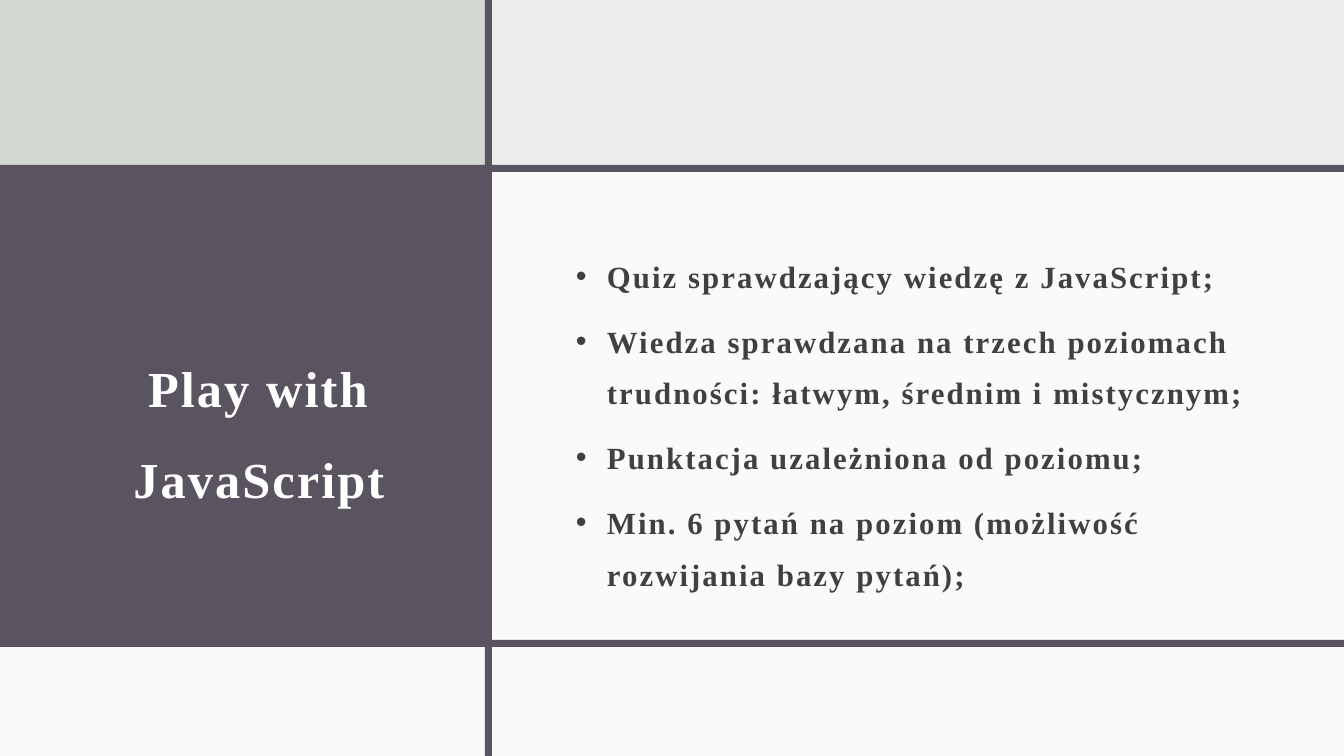
import pptx
import pptx.util
import pptx.dml.color
import pptx.enum.shapes
import pptx.enum.text
import pptx.oxml
import pptx.oxml.ns

EMU_PER_PX = 914400 / 100.8
WIDTH, HEIGHT = 1344, 756
BAR = 7
FONT = "Times New Roman"
COLORS = {"background": "EBEDEB", "plum": "595460", "sage": "D2D7D2",
          "white": "FFFFFF", "text": "404040"}
TITLE = "Play with JavaScript"
FEATURES = [
    "Quiz sprawdzający wiedzę z JavaScript;",
    "Wiedza sprawdzana na trzech poziomach trudności: łatwym, średnim i mistycznym;",
    "Punktacja uzależniona od poziomu;",
    "Min. 6 pytań na poziom (możliwość rozwijania bazy pytań);",
]


def px(length):
    return pptx.util.Emu(round(length * EMU_PER_PX))


def color(name):
    return pptx.dml.color.RGBColor.from_string(COLORS[name])


def add_panel(slide, box, fill, opacity=100):
    shape = slide.shapes.add_shape(
        pptx.enum.shapes.MSO_SHAPE.RECTANGLE, *map(px, box))
    shape.shadow.inherit = False
    shape.fill.solid()
    shape.fill.fore_color.rgb = color(fill)
    shape.line.fill.background()
    if opacity < 100:
        tint = shape.fill._xPr.find(".//" + pptx.oxml.ns.qn("a:srgbClr"))
        alpha = pptx.oxml.parse_xml(
            f'<a:alpha {pptx.oxml.ns.nsdecls("a")} val="{opacity * 1000}"/>')
        tint.append(alpha)


def add_text_frame(slide, box):
    frame = slide.shapes.add_textbox(*map(px, box)).text_frame
    frame.word_wrap = True
    frame.vertical_anchor = pptx.enum.text.MSO_ANCHOR.MIDDLE
    frame.margin_left = frame.margin_right = frame.margin_top = px(12)
    frame.margin_bottom = px(10)
    return frame


def add_run(paragraph, text, size, fill):
    run = paragraph.add_run()
    run.text = text
    run.font.name = FONT
    run.font.size = pptx.util.Pt(size)
    run.font.bold = True
    run.font.color.rgb = color(fill)
    run.font._element.set("spc", "150")


def add_bullet(paragraph):
    properties = paragraph._p.get_or_add_pPr()
    properties.set("marL", str(px(31)))
    properties.set("indent", str(px(-31)))
    namespace = pptx.oxml.ns.nsdecls("a")
    properties.append(pptx.oxml.parse_xml(
        f'<a:buFont {namespace} typeface="Arial"/>'))
    properties.append(pptx.oxml.parse_xml(f'<a:buChar {namespace} char="•"/>'))


def add_grid(slide, box, column, top_row, bottom_row):
    """Coloured cells divided by one vertical and two horizontal bars."""
    left, top, width, height = box
    middle = bottom_row - top_row
    # Cells
    add_panel(slide, (left, top + top_row, column, middle), "plum")
    add_panel(slide, (left, top, column, top_row), "sage")
    add_panel(slide, (left + column, top + top_row, width - column, middle),
              "white", 75)
    add_panel(slide, (left, top + bottom_row, width, height - bottom_row),
              "white", 75)
    # Bars
    for row in (top_row, bottom_row - BAR):
        add_panel(slide, (left, top + row, width, BAR), "plum")
    add_panel(slide, (left + column - 3, top, BAR, height), "plum")


def add_title(slide, box):
    paragraph = add_text_frame(slide, box).paragraphs[0]
    paragraph.alignment = pptx.enum.text.PP_ALIGN.CENTER
    paragraph.line_spacing = 1.5
    add_run(paragraph, TITLE, 36, "white")


def add_features(slide, box):
    frame = add_text_frame(slide, box)
    for index, feature in enumerate(FEATURES):
        paragraph = frame.add_paragraph() if index else frame.paragraphs[0]
        paragraph.line_spacing = 1.4
        if index:
            paragraph.space_before = pptx.util.Pt(9.3)
        add_bullet(paragraph)
        add_run(paragraph, feature, 22, "text")


def main():
    presentation = pptx.Presentation()
    presentation.slide_width = px(WIDTH)
    presentation.slide_height = px(HEIGHT)
    slide = presentation.slides.add_slide(presentation.slide_layouts[6])
    slide.background.fill.solid()
    slide.background.fill.fore_color.rgb = color("background")

    add_grid(slide, (0, 0, WIDTH, HEIGHT), column=488, top_row=165, bottom_row=647)
    add_title(slide, (71, 216, 376, 401))
    add_features(slide, (564, 216, 709, 401))
    presentation.save("out.pptx")


if __name__ == "__main__":
    main()
